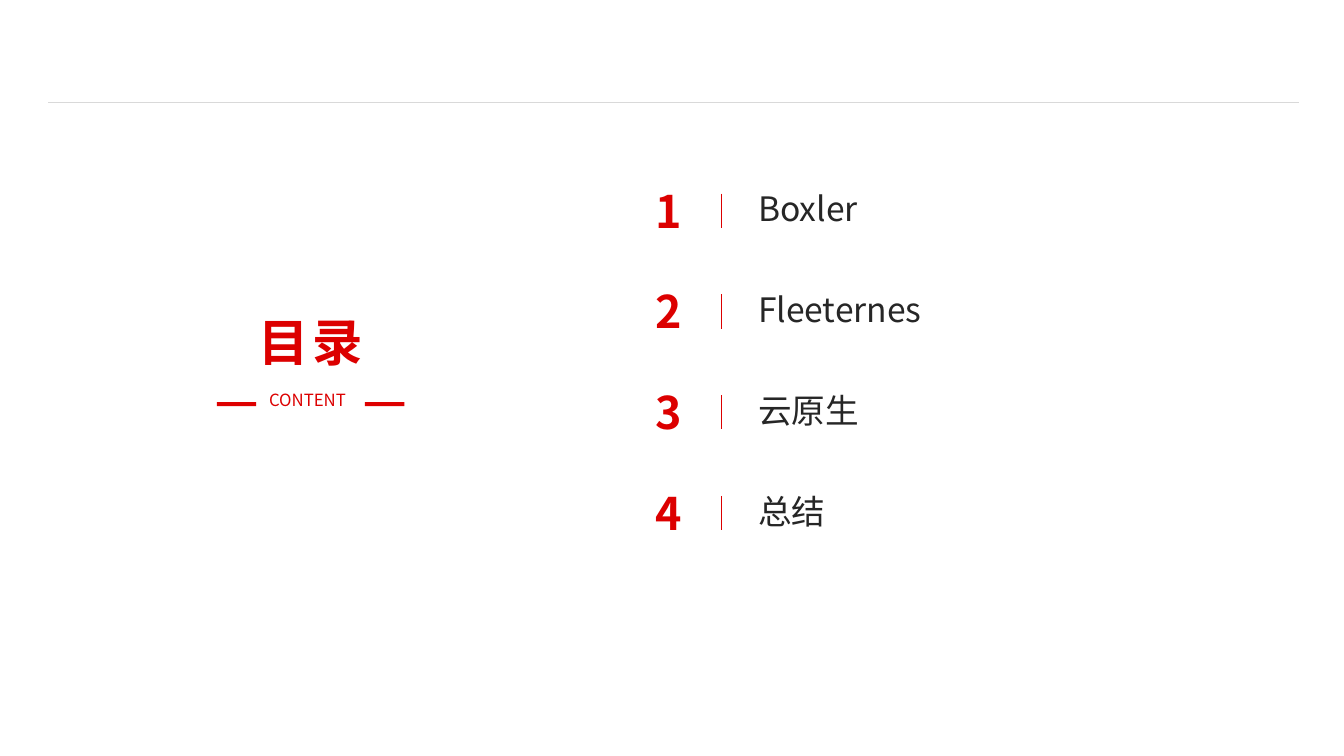
from lxml import etree
from pptx import Presentation
from pptx.dml.color import RGBColor
from pptx.enum.shapes import MSO_CONNECTOR, MSO_SHAPE
from pptx.enum.text import MSO_ANCHOR, MSO_AUTO_SIZE, PP_ALIGN
from pptx.oxml.ns import qn
from pptx.util import Inches, Pt

RED = RGBColor(0xDC, 0x00, 0x00)
DASH_RED = RGBColor(0xDE, 0x00, 0x00)
DARK = RGBColor(0x26, 0x26, 0x26)
GREY = RGBColor(0xD9, 0xD9, 0xD9)
FONT = "Noto Sans CJK SC"

prs = Presentation()
prs.slide_width, prs.slide_height = Inches(13.33), Inches(7.5)
slide = prs.slides.add_slide(prs.slide_layouts[5])


def write(holder, text, size, color, bold=False, wrap=True):
    frame = holder.text_frame
    frame.text = text
    frame.word_wrap = wrap
    frame.auto_size = MSO_AUTO_SIZE.NONE
    paragraph = frame.paragraphs[0]
    font = paragraph.font
    font.name, font.size, font.bold = FONT, Pt(size), bold
    font.color.rgb = color
    # Chinese characters take the East Asian typeface
    properties = paragraph._p.pPr.find(qn("a:defRPr"))
    etree.SubElement(properties, qn("a:ea"), typeface=FONT)
    return paragraph


def draw_line(x1, y1, x2, y2, color):
    line = slide.shapes.add_connector(
        MSO_CONNECTOR.STRAIGHT, Inches(x1), Inches(y1), Inches(x2), Inches(y2))
    line.line.color.rgb = color
    line.line.width = Pt(0.5)
    etree.SubElement(line._element.spPr, qn("a:effectLst"))


# Header rule
draw_line(0.48, 1.02, 12.88, 1.02, GREY)

# Heading
heading = slide.shapes.title
heading.left, heading.top = Inches(2.15), Inches(3.04)
heading.width, heading.height = Inches(1.86), Inches(0.71)
heading_line = write(heading, "目录", 36, RED, bold=True)
heading_line.alignment = PP_ALIGN.CENTER
heading_line._p.pPr.find(qn("a:defRPr")).set("spc", "300")
heading.text_frame.vertical_anchor = MSO_ANCHOR.TOP

# Subheading between two dashes
subheading = slide.shapes.add_textbox(
    Inches(2.57), Inches(3.82), Inches(1.01), Inches(0.3))
write(subheading, "CONTENT", 12, RED, wrap=False)
for dash_left in (2.15, 3.62):
    dash = slide.shapes.add_shape(
        MSO_SHAPE.RECTANGLE, Inches(dash_left), Inches(3.99), Inches(0.39), Inches(0.04))
    dash.shadow.inherit = False
    dash.fill.solid()
    dash.fill.fore_color.rgb = DASH_RED
    dash.line.fill.background()

# Chapters: number, divider, name
CHAPTERS = ["Boxler", "Fleeternes", "云原生", "总结"]
for index, chapter in enumerate(CHAPTERS):
    top = 1.77 + index
    number = slide.shapes.add_textbox(
        Inches(6.4), Inches(top), Inches(0.45), Inches(0.64))
    write(number, str(index + 1), 32, RED, bold=True, wrap=False)
    draw_line(7.15, top + 0.15, 7.15, top + 0.49, RED)
    name = slide.shapes.add_textbox(
        Inches(7.42), Inches(top + 0.05), Inches(5.13), Inches(0.5))
    write(name, chapter, 24, DARK)

prs.save("out.pptx")
